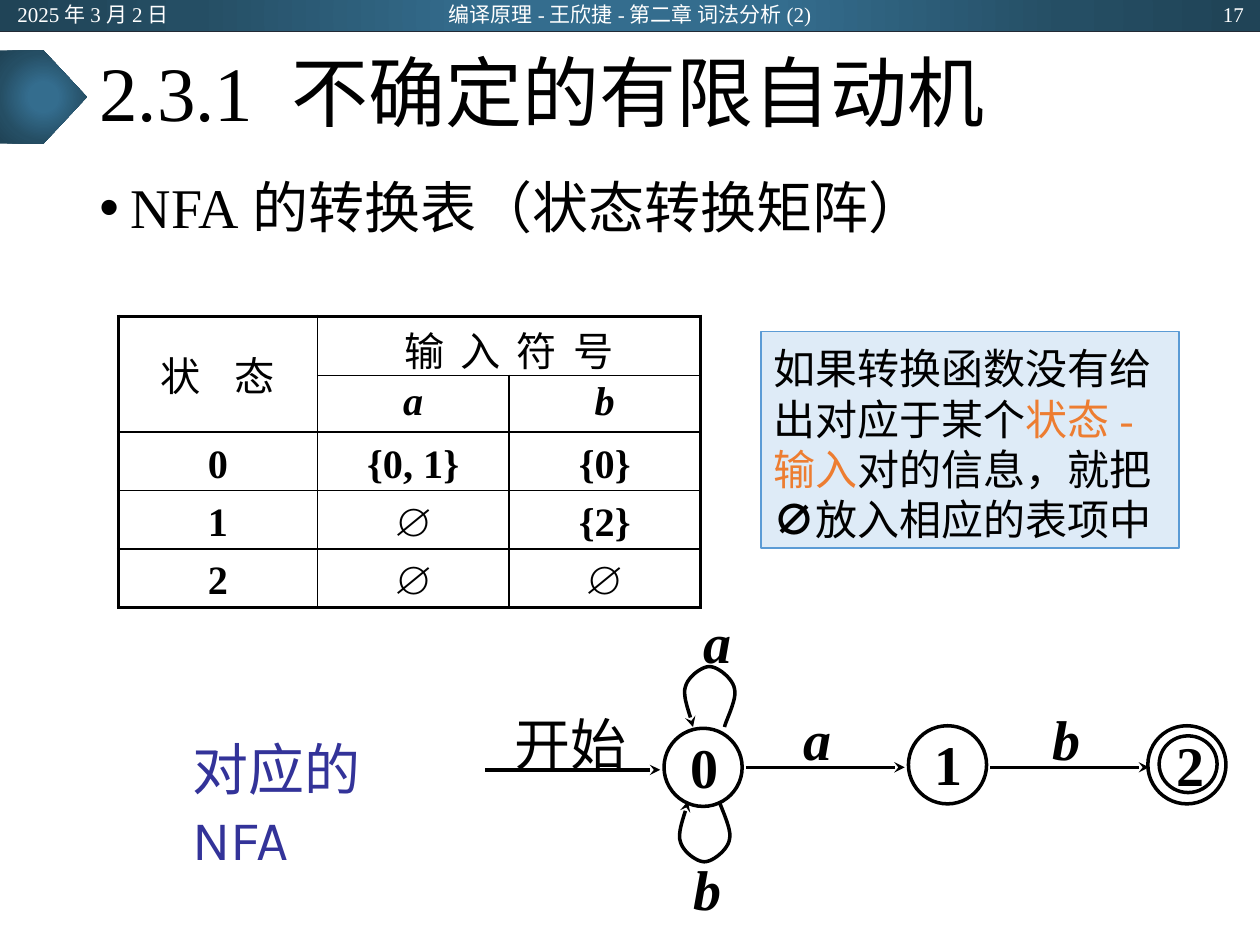
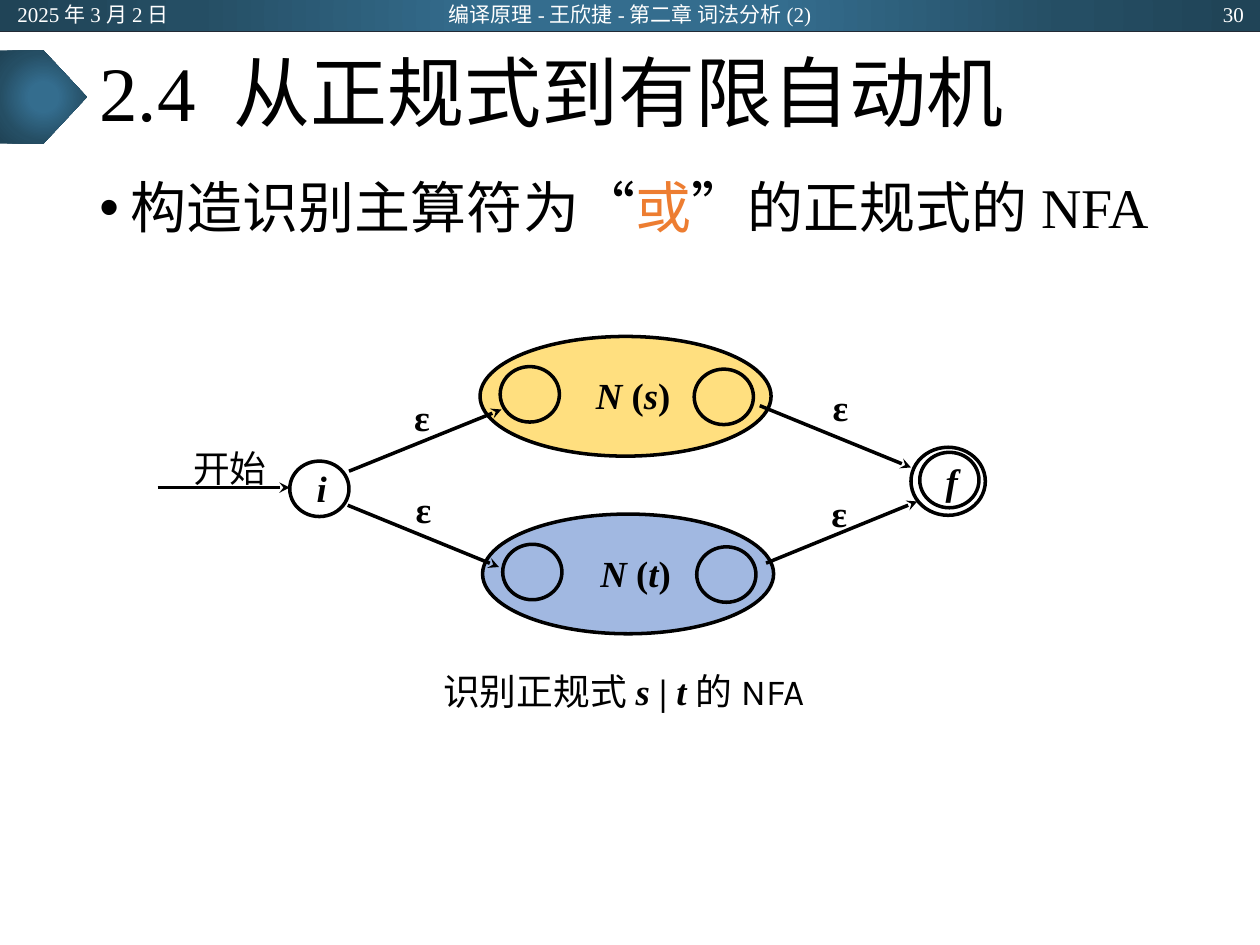
from lxml import etree
from pptx import Presentation
from pptx.dml.color import RGBColor
from pptx.enum.shapes import MSO_CONNECTOR, MSO_SHAPE
from pptx.enum.text import MSO_ANCHOR, PP_ALIGN
from pptx.oxml import parse_xml
from pptx.oxml.ns import nsdecls, qn
from pptx.util import Inches, Pt

STRAIGHT = MSO_CONNECTOR.STRAIGHT
RECT, OVAL, PENTAGON = MSO_SHAPE.RECTANGLE, MSO_SHAPE.OVAL, MSO_SHAPE.PENTAGON
TOP, MIDDLE = MSO_ANCHOR.TOP, MSO_ANCHOR.MIDDLE
LEFT, CENTER, RIGHT = PP_ALIGN.LEFT, PP_ALIGN.CENTER, PP_ALIGN.RIGHT

COLORS = {
    "ink": "000000", "white": "FFFFFF", "rule": "222A35", "accent": "ED7D31",
    "indigo": "333399", "note": "DEEBF7", "note_edge": "5B9BD5",
    "gold": "FFC000", "blue": "4472C4",
}
BAND_STOPS = [(0, "346D8E"), (23, "346D8E"), (69, "254E64"), (97, "204457")]
SERIF, SANS, CJK = "Times New Roman", "Karla", "Noto Sans CJK SC"
BOLD = {"bold": True}
ITALIC = {"bold": True, "italic": True}
DEFAULT_INSETS = (0.1, 0.05, 0.1, 0.05)
LABEL_INSETS = (0.04, 0.02, 0.04, 0.02)
STATE_INSETS = (0.04, 0.02, 0.02, 0.04)
DATE = "2025年3月2日"
COURSE = "编译原理-王欣捷-第二章 词法分析(2)"


# ---- text ----
def rgb(name):
    return RGBColor.from_string(COLORS[name])


def add_run(paragraph, text, size, color="ink", name=SERIF, spacing=0, **formats):
    run = paragraph.add_run()
    run.text = text
    for key, value in {"size": Pt(size), "name": name, **formats}.items():
        setattr(run.font, key, value)
    run.font.color.rgb = rgb(color)
    properties = run._r.get_or_add_rPr()
    if spacing:
        properties.set("spc", str(spacing * 100))
    etree.SubElement(properties, qn("a:ea")).set("typeface", CJK)


def fill_text(frame, runs, size, align=LEFT, anchor=MIDDLE, insets=DEFAULT_INSETS,
              line_spacing=None, bullet=False):
    """Write one paragraph; runs is a list of (text, formats)."""
    frame.word_wrap = True
    frame.vertical_anchor = anchor
    for side, inset in zip(("left", "top", "right", "bottom"), insets):
        setattr(frame, "margin_" + side, Inches(inset))
    paragraph = frame.paragraphs[0]
    paragraph.alignment = align
    if line_spacing:
        paragraph.line_spacing = line_spacing
    if bullet:
        indents = paragraph._p.get_or_add_pPr()
        indents.set("marL", str(Inches(0.25)))
        indents.set("indent", str(-Inches(0.25)))
        etree.SubElement(indents, qn("a:buFont")).set("typeface", "Arial")
        etree.SubElement(indents, qn("a:buChar")).set("char", "•")
    for text, formats in runs:
        add_run(paragraph, text, **{"size": size, **formats})


def add_text(slide, box, runs, size, **layout):
    text_box = slide.shapes.add_textbox(*map(Inches, box))
    fill_text(text_box.text_frame, runs, size, **layout)


def add_label(slide, box, runs, size):
    add_text(slide, box, runs, size, align=CENTER, insets=LABEL_INSETS)


# ---- shapes and lines ----
def add_outline(slide, kind, box, fill=None, line="ink", width=2, alpha=None):
    shape = slide.shapes.add_shape(kind, *map(Inches, box))
    shape.shadow.inherit = False
    if fill:
        shape.fill.solid()
        shape.fill.fore_color.rgb = rgb(fill)
        if alpha:
            tint = shape._element.spPr.find(qn("a:solidFill"))[0]
            etree.SubElement(tint, qn("a:alpha")).set("val", str(alpha * 1000))
    else:
        shape.fill.background()
    shape.line.color.rgb = rgb(line)
    shape.line.width = Pt(width)
    return shape


def add_state(slide, box, name="", size=32, insets=STATE_INSETS, **formats):
    circle = add_outline(slide, OVAL, box)
    if name:
        fill_text(circle.text_frame, [(name, {"bold": True, **formats})], size,
                  align=CENTER, insets=insets)


def add_stealth_tail(shape):
    etree.SubElement(shape.line._get_or_add_ln(), qn("a:tailEnd")).set("type", "stealth")


def add_line(slide, start, end, color="ink", width=2, arrow=True):
    line = slide.shapes.add_connector(STRAIGHT, *map(Inches, (*start, *end)))
    line.line.color.rgb = rgb(color)
    line.line.width = Pt(width)
    if arrow:
        add_stealth_tail(line)
    etree.SubElement(line._element.spPr, qn("a:effectLst"))


def bezier_points(controls, steps=12):
    """Sample a chain of cubic curves that share their end points."""
    points = [controls[0]]
    for first in range(0, len(controls) - 1, 3):
        curve = controls[first:first + 4]
        for step in range(1, steps + 1):
            t = step / steps
            weights = ((1 - t) ** 3, 3 * t * (1 - t) ** 2, 3 * t * t * (1 - t), t ** 3)
            points.append(tuple(sum(w * p[axis] for w, p in zip(weights, curve))
                                for axis in (0, 1)))
    return points


def add_loop(slide, controls):
    points = [(Inches(x), Inches(y)) for x, y in bezier_points(controls)]
    builder = slide.shapes.build_freeform(*points[0])
    builder.add_line_segments(points[1:], close=False)
    loop = builder.convert_to_shape()
    loop.shadow.inherit = False
    loop.fill.background()
    loop.line.color.rgb = rgb("ink")
    loop.line.width = Pt(2)
    add_stealth_tail(loop)


def add_band(slide, kind, box):
    band = add_outline(slide, kind, box)
    band.line.fill.background()
    stops = "".join(f'<a:gs pos="{pos * 1000}"><a:srgbClr val="{color}"/></a:gs>'
                    for pos, color in BAND_STOPS)
    gradient = parse_xml(
        f'<a:gradFill {nsdecls("a")} rotWithShape="1"><a:gsLst>{stops}</a:gsLst>'
        '<a:path path="circle"><a:fillToRect l="50000" t="50000" r="50000" b="50000"/>'
        '</a:path></a:gradFill>')
    properties = band._element.spPr
    properties.replace(properties.find(qn("a:noFill")), gradient)


# ---- table ----
def set_borders(cell, row, col, last_row, last_col):
    outer = {"L": col == 0, "R": col + cell.span_width > last_col,
             "T": row == 0, "B": row + cell.span_height > last_row}
    for side, is_outer in outer.items():
        border = etree.SubElement(cell._tc.get_or_add_tcPr(), qn("a:ln" + side))
        border.set("w", str(Pt(2.25 if is_outer else 1)))
        paint = etree.SubElement(border, qn("a:solidFill"))
        etree.SubElement(paint, qn("a:srgbClr")).set("val", COLORS["ink"])


def add_transition_table(slide):
    rows = [
        ["状 态", "输 入 符 号", ""],
        ["", "a", "b"],
        ["0", "{0, 1}", "{0}"],
        ["1", "∅", "{2}"],
        ["2", "∅", "∅"],
    ]
    header_formats = {"状 态": {"name": SANS, "spacing": 7},
                      "输 入 符 号": {"name": CJK, "spacing": 2}}
    row_insets = [(0.07, 0.03, 0.07, 0.03), (0.05, 0.03, 0.05, 0.03)] + [(0, 0.08, 0, 0)] * 3
    frame = slide.shapes.add_table(5, 3, *map(Inches, (0.94, 2.51, 4.62, 2.3)))
    table = frame.table
    table.first_row = table.horz_banding = False
    for column, width in zip(table.columns, (1.58, 1.52, 1.52)):
        column.width = Inches(width)
    for row, height in zip(table.rows, (0.47, 0.45, 0.46, 0.46, 0.46)):
        row.height = Inches(height)
    table.cell(0, 0).merge(table.cell(1, 0))
    table.cell(0, 1).merge(table.cell(0, 2))
    for r, values in enumerate(rows):
        for c, value in enumerate(values):
            cell = table.cell(r, c)
            if not cell.is_spanned:
                if not cell.is_merge_origin:
                    cell_span = (1, 1)
                set_borders(cell, r, c, len(rows) - 1, len(values) - 1)
                formats = header_formats.get(value, ITALIC if r == 1 else BOLD)
                fill_cell(cell, value, formats, row_insets[r], MIDDLE if (r, c) == (0, 0) else TOP)
            cell.fill.background()


def fill_cell(cell, value, formats, insets, anchor):
    for side, inset in zip(("left", "top", "right", "bottom"), insets):
        setattr(cell, "margin_" + side, Inches(inset))
    cell.vertical_anchor = anchor
    paragraph = cell.text_frame.paragraphs[0]
    paragraph.alignment = CENTER
    add_run(paragraph, value, 23, **formats)


# ---- slides ----
def add_content_slide(deck, title, bullet_runs, number):
    slide = deck.slides.add_slide(deck.slide_layouts[6])
    add_band(slide, RECT, (0, 0, 10, 0.25))
    add_line(slide, (0, 0.25), (10, 0.25), "rule", 0.5, arrow=False)
    add_band(slide, PENTAGON, (0, 0.4, 0.69, 0.74))
    add_text(slide, (0.69, 0.25, 8.62, 1.04), [(title, {})], 44, line_spacing=0.9)
    add_text(slide, (0.69, 1.38, 8.62, 5.38), bullet_runs, 32, anchor=TOP,
             line_spacing=0.9, bullet=True)
    for left, width, text, align in ((0.04, 2.25, DATE, LEFT), (3.31, 3.38, COURSE, CENTER),
                                     (7.72, 2.25, number, RIGHT)):
        add_text(slide, (left, 0.01, width, 0.2), [(text, {"color": "white"})], 12, align=align)
    return slide


def build_table_slide(deck):
    slide = add_content_slide(deck, "2.3.1 不确定的有限自动机",
                              [("NFA的转换表（状态转换矩阵）", {})], "17")
    add_transition_table(slide)

    # Note on empty entries
    note = add_outline(slide, RECT, (6.04, 2.63, 3.32, 1.72), "note", "note_edge", 1)
    fill_text(note.text_frame, [
        ("如果转换函数没有给出对应于某个", {}), ("状态-输入", {"color": "accent"}),
        ("对的信息，就把", {}), ("∅", BOLD), ("放入相应的表项中", {}),
    ], 24, anchor=TOP, insets=(0.1, 0.09, 0.1, 0.05), line_spacing=Pt(28.8))

    # Automaton: states, transitions, loops
    add_state(slide, (5.27, 5.78, 0.62, 0.62), "0")
    add_state(slide, (7.21, 5.76, 0.62, 0.62), "1")
    add_state(slide, (9.11, 5.76, 0.62, 0.62))
    add_state(slide, (9.2, 5.84, 0.46, 0.45), "2", insets=(0.04, 0, 0.01, 0))
    for start, end, y in ((3.85, 5.24, 6.11), (5.92, 7.18, 6.09), (7.86, 9.12, 6.09)):
        add_line(slide, (start, y), (end, y))
    upper_loop = [(5.75, 5.77), (5.76, 5.72), (5.85, 5.55), (5.83, 5.47), (5.82, 5.39),
                  (5.7, 5.29), (5.63, 5.29), (5.57, 5.29), (5.46, 5.37), (5.44, 5.45),
                  (5.41, 5.53), (5.49, 5.7), (5.5, 5.77)]
    add_loop(slide, upper_loop)
    add_loop(slide, [(x - 0.04, 12.13 - y) for x, y in upper_loop])
    add_label(slide, (4.02, 5.61, 1.01, 0.58), [("开始", {})], 32)
    for symbol, left, top in (("a", 6.23, 5.61), ("b", 8.21, 5.61),
                              ("a", 5.44, 4.84), ("b", 5.36, 6.8)):
        add_label(slide, (left, top, 0.51, 0.5), [(symbol, ITALIC)], 32)
    add_text(slide, (1.43, 5.76, 2.1, 1.2), [
        ("对应的", {"name": CJK, "color": "indigo"}), ("NFA", {"name": SANS, "color": "indigo"}),
    ], 32, anchor=TOP, line_spacing=Pt(40))


def add_sub_automaton(slide, left, top, expression, color):
    add_outline(slide, OVAL, (left, top, 2.31, 0.95), color, alpha=50)
    add_state(slide, (left + 0.16, top + 0.24, 0.47, 0.44))
    add_state(slide, (left + 1.7, top + 0.26, 0.47, 0.44))
    add_text(slide, (left + 0.82, top + 0.21, 0.8, 0.53),
             [("N ", ITALIC), ("(", BOLD), (expression, ITALIC), (")", BOLD)], 21,
             align=CENTER, insets=(0.06, 0.02, 0.07, 0.04))


def build_union_slide(deck):
    slide = add_content_slide(deck, "2.4 从正规式到有限自动机", [
        ("构造识别主算符为", {"name": CJK}), ("“", {"name": "Arial"}),
        ("或", {"name": CJK, "color": "accent"}), ("”", {"name": "Arial"}),
        ("的正规式的", {"name": CJK}), ("NFA", {}),
    ], "30")
    add_sub_automaton(slide, 3.81, 2.67, "s", "gold")
    add_sub_automaton(slide, 3.83, 4.08, "t", "blue")

    # Start and final states
    add_state(slide, (2.3, 3.66, 0.47, 0.44), "i", 21, (0.06, 0.02, 0.02, 0.04), italic=True)
    add_state(slide, (7.23, 3.55, 0.59, 0.54))
    add_state(slide, (7.3, 3.59, 0.47, 0.44), "f", 21, (0.06, 0.02, 0.02, 0.01), italic=True)

    # Transitions and labels
    for start, end in (((1.25, 3.87), (2.3, 3.87)), ((2.77, 3.74), (3.98, 3.25)),
                       ((2.76, 4.01), (3.96, 4.5)), ((6.08, 4.47), (7.28, 3.98)),
                       ((6.03, 3.22), (7.23, 3.71))):
        add_line(slide, start, end)
    for left, top in ((3.16, 3.13), (3.17, 3.86), (6.48, 3.05), (6.47, 3.89)):
        add_label(slide, (left, top, 0.38, 0.36), [("ε", BOLD)], 21)
    add_label(slide, (1.44, 3.5, 0.77, 0.42), [("开始", {})], 21)
    add_label(slide, (3.19, 5.3, 3.52, 0.37), [
        ("识别正规式", {}), ("s ", ITALIC), ("| ", BOLD), ("t", ITALIC),
        ("的", {}), ("NFA", {"name": SANS}),
    ], 21)


def main():
    deck = Presentation()
    deck.slide_width, deck.slide_height = Inches(10), Inches(7.5)
    build_table_slide(deck)
    build_union_slide(deck)
    deck.save("out.pptx")


if __name__ == "__main__":
    main()
